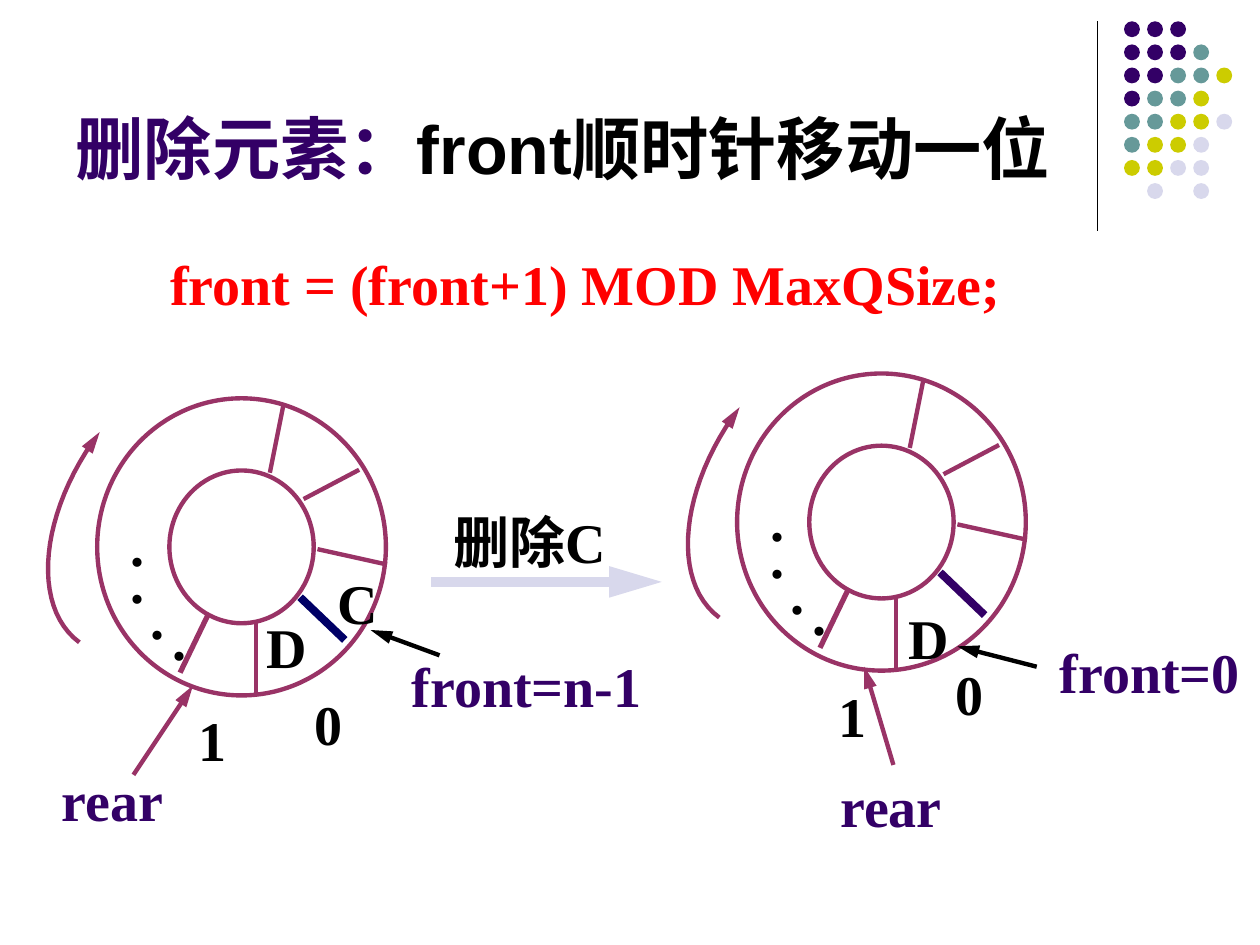
"""Builds the slide on deleting an element from a circular queue."""
from dataclasses import dataclass

from lxml.etree import SubElement
from pptx import Presentation
from pptx.dml.color import RGBColor
from pptx.enum.lang import MSO_LANGUAGE_ID
from pptx.enum.shapes import MSO_CONNECTOR, MSO_SHAPE
from pptx.enum.text import MSO_ANCHOR, MSO_AUTO_SIZE, PP_ALIGN
from pptx.oxml.ns import qn
from pptx.util import Cm, Pt


@dataclass(frozen=True)
class Theme:
    violet: str = "330066"
    teal: str = "669999"
    lime: str = "CCCC00"
    lilac: str = "D8D8EC"
    plum: str = "993366"
    navy: str = "000066"
    black: str = "000000"
    red: str = "FF0000"
    heading: str = "Arial"
    serif: str = "Times New Roman"
    title_size: float = 39
    label_size: float = 32
    stroke: float = 2.5


theme = Theme()
deck = Presentation()
deck.slide_width, deck.slide_height = Cm(25.4), Cm(19.05)
slide = deck.slides.add_slide(deck.slide_layouts[5])
shapes = slide.shapes


def write(paragraph, text, *, color=theme.black, size=theme.label_size, font=theme.serif):
    run = paragraph.add_run()
    run.text = text
    run.font.name = font
    run.font.size = Pt(size)
    run.font.bold = True
    run.font.color.rgb = RGBColor.from_string(color)
    run.font.language_id = MSO_LANGUAGE_ID.SIMPLIFIED_CHINESE


def stroke(part, color=theme.plum, width=theme.stroke, arrow=False):
    part.line.color.rgb = RGBColor.from_string(color)
    part.line.width = Pt(width)
    if arrow:
        SubElement(part.line._get_or_add_ln(), qn("a:tailEnd"), type="triangle", w="med", len="lg")
    SubElement(part._element.spPr, qn("a:effectLst"))


dot_colors = {"v": theme.violet, "t": theme.teal, "y": theme.lime, "l": theme.lilac}
dot_rows = ["vvv", "vvvt", "vvtty", "vtty", "ttyyl", "tyyl", "yyll", " l l"]
for row, codes in enumerate(dot_rows):
    for column, code in enumerate(codes):
        if code in dot_colors:
            dot = shapes.add_shape(MSO_SHAPE.OVAL, Cm(22.66 + 0.465 * column),
                                   Cm(0.43 + 0.466 * row), Cm(0.32), Cm(0.32))
            dot.shadow.inherit = False
            dot.fill.solid()
            dot.fill.fore_color.rgb = RGBColor.from_string(dot_colors[code])
            dot.line.fill.background()

title = shapes.title
title.left, title.top, title.width, title.height = Cm(1.27), Cm(0.33), Cm(20.96), Cm(3.6)
title.text_frame.vertical_anchor = MSO_ANCHOR.BOTTOM
title.text_frame.auto_size = MSO_AUTO_SIZE.NONE
heading = title.text_frame.paragraphs[0]
heading.alignment = PP_ALIGN.LEFT
for words, color in [("删除元素：", theme.violet), ("front顺时针移动一位", theme.black)]:
    write(heading, words, color=color, size=theme.title_size, font=theme.heading)

lines = [
    (22.12, 0.43, 22.12, 4.65, theme.black, 0.75, False),
    (2.69, 15.62, 3.89, 13.82, theme.plum, theme.stroke, True),
    (18.01, 15.42, 17.42, 13.44, theme.plum, theme.stroke, True),
    (8.86, 13.21, 7.47, 12.7, theme.black, theme.stroke, True),
    (20.9, 13.44, 19.3, 13.03, theme.black, theme.stroke, True),
    (8.69, 11.73, 13.34, 11.73, theme.lilac, 6, True),
]
labels = [
    ("front = (front+1) MOD MaxQSize;", 3.18, 4.67, 18.21, theme.red),
    ("rear", 0.99, 15.21, 2.77, theme.violet),
    ("rear", 16.69, 15.32, 2.65, theme.violet),
    ("front=n-1", 8.05, 12.9, 5.16, theme.violet),
    ("front=0", 21.11, 12.62, 4.29, theme.violet),
    ("0", 6.1, 13.67, 1.02, theme.black),
    ("0", 19.02, 13.06, 1.02, theme.black),
    ("C", 6.55, 11.23, 1.12, theme.black),
    ("D", 5.13, 12.12, 1.47, theme.black),
    ("D", 18.06, 11.94, 1.47, theme.black),
    ("删除C", 8.89, 10.01, 4.65, theme.black),
]
spokes = [
    (6.4, 11.07, 7.8, 11.38, theme.stroke),
    (6.12, 10.06, 7.24, 9.47, theme.stroke),
    (5.16, 12.55, 5.16, 14, theme.stroke),
    (5.72, 8.13, 5.44, 9.53, theme.stroke),
    (4.19, 12.4, 3.63, 13.56, 3),
]
ring_marks = [(".", 2.39, 10.06), (".", 2.39, 10.8), (".", 2.79, 11.53),
              (".", 3.23, 11.96), ("1", 3.76, 14)]
turn = [(1.6, 12.95), (0.61, 12.22), (0.81, 10.31), (2.01, 8.71)]
turn_steps = 24

for dx, dy, front_color in [(0, 0, theme.navy), (12.9, -0.5, theme.violet)]:
    ring = shapes.add_shape(MSO_SHAPE.DONUT, Cm(1.96 + dx), Cm(8.03 + dy), Cm(5.82), Cm(5.99))
    ring.adjustments[0] = 0.25
    ring.fill.background()
    stroke(ring)

    curve = []
    for step in range(turn_steps + 1):
        t = step / turn_steps
        weights = [(1 - t) ** 3, 3 * t * (1 - t) ** 2, 3 * t ** 2 * (1 - t), t ** 3]
        x, y = (sum(w * p[axis] for w, p in zip(weights, turn)) for axis in (0, 1))
        curve.append((Cm(x + dx), Cm(y + dy)))
    builder = shapes.build_freeform(*curve[0])
    builder.add_line_segments(curve[1:], close=False)
    clockwise = builder.convert_to_shape()
    clockwise.fill.background()
    stroke(clockwise, arrow=True)

    lines += [(x1 + dx, y1 + dy, x2 + dx, y2 + dy, theme.plum, width, False)
              for x1, y1, x2, y2, width in spokes]
    lines.append((6.05 + dx, 12.04 + dy, 6.95 + dx, 12.9 + dy, front_color, 4.5, False))
    labels += [(mark, x + dx, y + dy, 0.99, theme.black) for mark, x, y in ring_marks]

for x1, y1, x2, y2, color, width, arrow in lines:
    segment = shapes.add_connector(MSO_CONNECTOR.STRAIGHT, Cm(x1), Cm(y1), Cm(x2), Cm(y2))
    stroke(segment, color, width, arrow)

for words, x, y, width, color in labels:
    label = shapes.add_textbox(Cm(x), Cm(y), Cm(width), Cm(1.63)).text_frame
    label.word_wrap = True
    label.margin_top = Cm(0.23)
    if color == theme.red:
        label.paragraphs[0].line_spacing = 1.1
    write(label.paragraphs[0], words, color=color)

deck.save("out.pptx")
